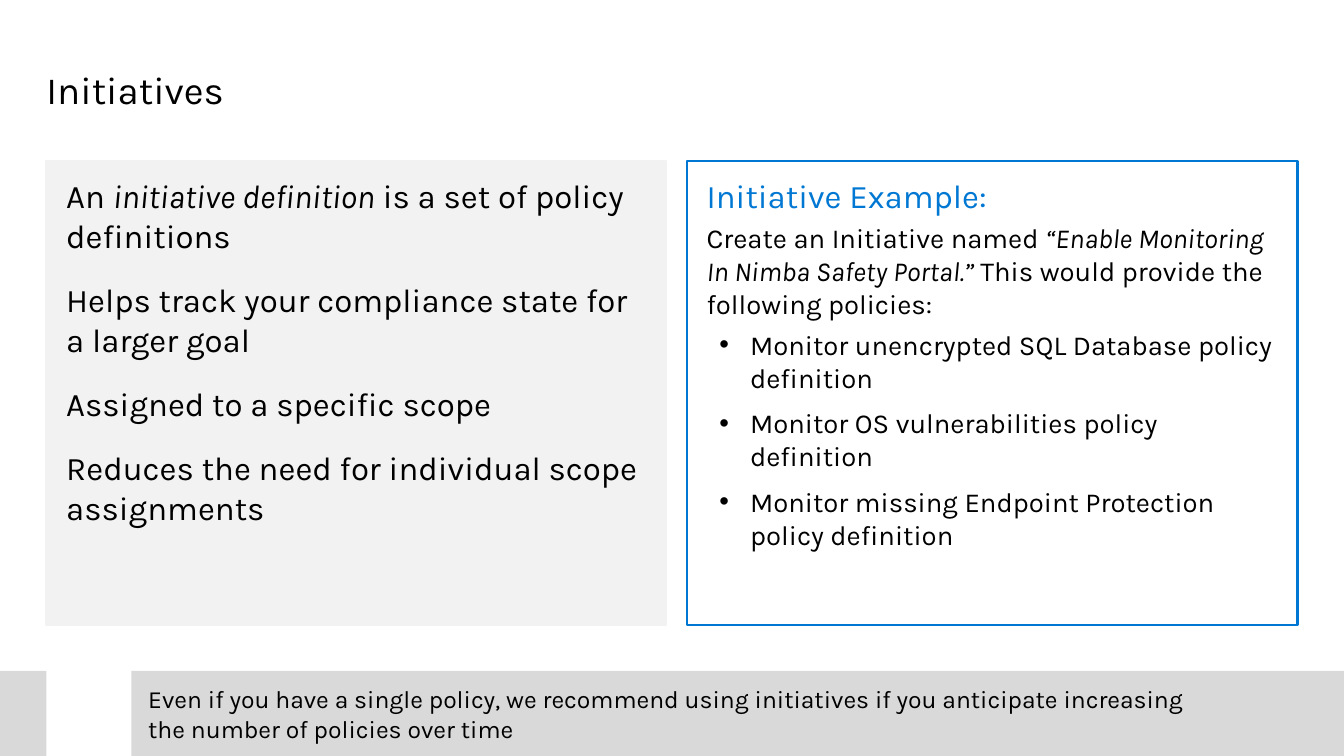
from dataclasses import dataclass

from lxml import etree
from pptx import Presentation
from pptx import util as u
from pptx.dml.color import RGBColor
from pptx.enum import text as t
from pptx.oxml.ns import qn

FONT = "Karla"
COLORS = {"text": "000000", "accent": "0078D3", "panel": "F2F2F2", "band": "D9D9D9"}
PANEL_TOP, PANEL_HEIGHT = 1.63, 4.69
BAND_TOP, BAND_BOTTOM = 6.79, 7.65


@dataclass
class Span:
    text: str
    italic: bool = False


@dataclass
class Item:
    spans: list[Span]
    size: int = 24
    color: str = "text"
    before: int = 0
    after: int = 0
    bullet: bool = False


@dataclass
class Panel:
    left: float
    width: float
    line: str
    items: list[Item]
    fill: str | None = None


POINTS = [
    [Span("An "), Span("initiative definition", True), Span(" is a set of policy definitions")],
    [Span("Helps track your compliance state for a larger goal")],
    [Span("Assigned to a specific scope")],
    [Span("Reduces the need for individual scope assignments")],
]
POLICIES = [
    "Monitor unencrypted SQL Database policy definition",
    "Monitor OS vulnerabilities policy definition",
    "Monitor missing Endpoint Protection policy definition",
]
EXAMPLE = [
    Item([Span("Initiative Example:")], color="accent", after=4),
    Item([Span("Create an Initiative named "),
          Span("“Enable Monitoring In Nimba Safety Portal.” ", True),
          Span("This would provide the following policies:")], size=20),
    *[Item([Span(policy)], size=20, before=6, after=3, bullet=True) for policy in POLICIES],
]
PANELS = [
    Panel(0.47, 6.27, "panel", [Item(spans, before=18) for spans in POINTS], fill="panel"),
    Panel(6.95, 6.18, "accent", EXAMPLE),
]
TIP = ("Even if you have a single policy, we recommend using initiatives "
       "if you anticipate increasing\nthe number of policies over time")


def rgb(name: str) -> RGBColor:
    return RGBColor.from_string(COLORS[name])


def place(shape, left: float, top: float, width: float, height: float) -> None:
    shape.left, shape.top = u.Inches(left), u.Inches(top)
    shape.width, shape.height = u.Inches(width), u.Inches(height)


def set_frame(frame, insets: tuple[float, float, float, float], anchor) -> None:
    """Set insets (left, top, right, bottom) and anchor, with wrapping and no autofit."""
    frame.margin_left, frame.margin_top, frame.margin_right, frame.margin_bottom = map(u.Inches, insets)
    frame.vertical_anchor = anchor
    frame.word_wrap = True
    frame.auto_size = t.MSO_AUTO_SIZE.NONE


def format_runs(paragraph, size: int, color: str = "text") -> None:
    paragraph.alignment = t.PP_ALIGN.LEFT
    for run in paragraph.runs:
        run.font.name = FONT
        run.font.size = u.Pt(size)
        run.font.color.rgb = rgb(color)


def set_bullet(paragraph, bullet: bool) -> None:
    properties = paragraph._p.get_or_add_pPr()
    properties.set("marL", str(u.Inches(0.44 if bullet else 0)))
    properties.set("indent", str(u.Inches(-0.31 if bullet else 0)))
    if bullet:
        etree.SubElement(properties, qn("a:buFont"), typeface="Arial")
        etree.SubElement(properties, qn("a:buChar"), char="•")
    else:
        etree.SubElement(properties, qn("a:buNone"))


def add_item(paragraph, item: Item) -> None:
    for span in item.spans:
        run = paragraph.add_run()
        run.text = span.text
        run.font.italic = span.italic
    format_runs(paragraph, item.size, item.color)
    paragraph.space_before = u.Pt(item.before)
    paragraph.space_after = u.Pt(item.after)
    set_bullet(paragraph, item.bullet)


def draw_title(shape) -> None:
    place(shape, 0.47, 0.69, 12.65, 0.45)
    shape.text_frame.text = "Initiatives"
    set_frame(shape.text_frame, (0, 0, 0, 0), t.MSO_ANCHOR.TOP)
    paragraph = shape.text_frame.paragraphs[0]
    paragraph.line_spacing = u.Pt(32)
    format_runs(paragraph, 28)


def draw_panel(shape, panel: Panel) -> None:
    place(shape, panel.left, PANEL_TOP, panel.width, PANEL_HEIGHT)
    if panel.fill:
        shape.fill.solid()
        shape.fill.fore_color.rgb = rgb(panel.fill)
    shape.line.color.rgb = rgb(panel.line)
    shape.line.width = u.Pt(1.5)
    frame = shape.text_frame
    set_frame(frame, (0.2, 0.15, 0.2, 0.15), t.MSO_ANCHOR.TOP)
    for index, item in enumerate(panel.items):
        add_item(frame.add_paragraph() if index else frame.paragraphs[0], item)


def draw_band(slide) -> None:
    """Draw the two-part bottom band as one outline holding the tip."""
    top, bottom = u.Inches(BAND_TOP), u.Inches(BAND_BOTTOM)
    builder = slide.shapes.build_freeform(u.Inches(1.33), top)
    for start, end in ((1.33, 13.6), (0, 0.47)):
        left, right = u.Inches(start), u.Inches(end)
        builder.move_to(left, top)
        builder.add_line_segments([(right, top), (right, bottom), (left, bottom)], close=True)
    band = builder.convert_to_shape()
    band.shadow.inherit = False
    band.fill.solid()
    band.fill.fore_color.rgb = rgb("band")
    band.line.fill.background()
    set_frame(band.text_frame, (1.5, 0.16, 0.2, 0.16), t.MSO_ANCHOR.MIDDLE)
    paragraph = band.text_frame.paragraphs[0]
    paragraph.text = TIP
    format_runs(paragraph, 18)


def main() -> None:
    presentation = Presentation()
    presentation.slide_width, presentation.slide_height = u.Inches(13.6), u.Inches(7.65)
    two_content = presentation.slide_layouts[3]
    slide = presentation.slides.add_slide(two_content)
    draw_title(slide.shapes.title)
    for index, panel in enumerate(PANELS, start=1):
        draw_panel(slide.placeholders[index], panel)
    draw_band(slide)
    presentation.save("out.pptx")


if __name__ == "__main__":
    main()
